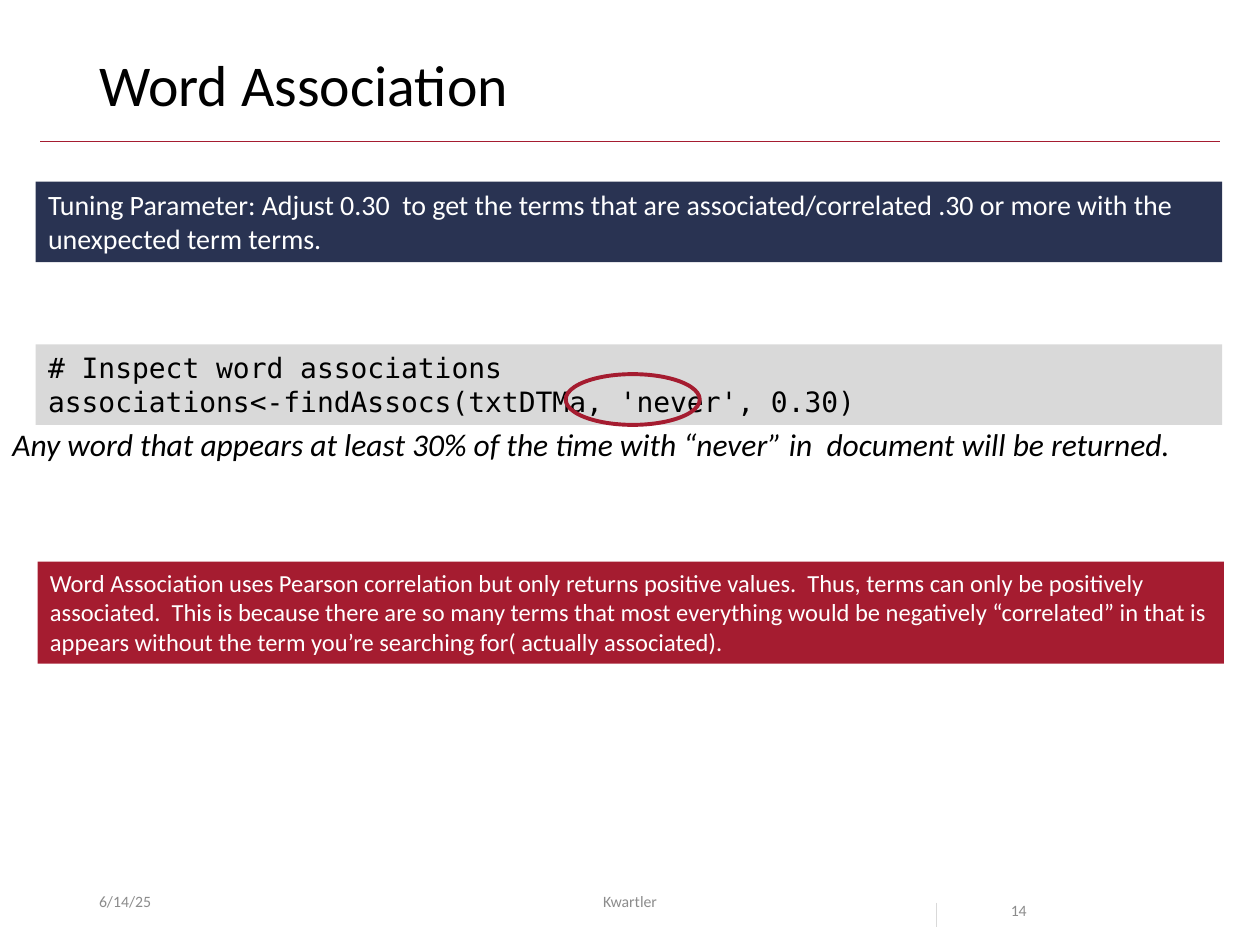
import dataclasses
import typing

import lxml.etree
import pptx
import pptx.dml.color
import pptx.enum.shapes
import pptx.enum.text
import pptx.oxml.ns
import pptx.util

Pt = pptx.util.Pt
Align = pptx.enum.text.PP_ALIGN
Anchor = pptx.enum.text.MSO_ANCHOR
Preset = pptx.enum.shapes.MSO_SHAPE

HUES = {
    "red": "A51C30",
    "navy": "293352",
    "pale": "D9D9D9",
    "grey": "8C8C8C",
    "black": "000000",
    "white": "FFFFFF",
}
SANS = "Calibri"
MONO = "DejaVu Sans Mono"


@dataclasses.dataclass
class Label:
    lines: list[str]
    left: float
    top: float
    width: float
    height: float
    size: float
    hue: str
    font: str = SANS
    fill: str | None = None
    align: Align = Align.LEFT
    anchor: Anchor = Anchor.TOP
    space: float | None = None
    slant: bool = False
    wrap: bool = True
    grow: bool = False


def shade(name: str) -> pptx.dml.color.RGBColor:
    return pptx.dml.color.RGBColor.from_string(HUES[name])


def write(shape: typing.Any, label: Label) -> None:
    frame = shape.text_frame
    frame.word_wrap = label.wrap
    fit = pptx.enum.text.MSO_AUTO_SIZE
    frame.auto_size = fit.SHAPE_TO_FIT_TEXT if label.grow else fit.NONE
    frame.vertical_anchor = label.anchor
    frame.text = "\n".join(label.lines)
    for line in frame.paragraphs:
        line.alignment = label.align
        if label.space:
            line.line_spacing = label.space
        line.font.name = label.font
        line.font.size = Pt(label.size)
        line.font.italic = label.slant
        line.font.color.rgb = shade(label.hue)


def place(shapes: typing.Any, label: Label) -> None:
    spot = [Pt(n) for n in (label.left, label.top, label.width, label.height)]
    if label.fill:
        shape = shapes.add_shape(Preset.RECTANGLE, *spot)
        shape.shadow.inherit = False
        shape.fill.solid()
        shape.fill.fore_color.rgb = shade(label.fill)
        shape.line.fill.background()
    else:
        shape = shapes.add_textbox(*spot)
    write(shape, label)


def rule(shapes: typing.Any, start: tuple[float, float],
         end: tuple[float, float], hue: str) -> None:
    line = shapes.add_connector(pptx.enum.shapes.MSO_CONNECTOR.STRAIGHT,
                                *[Pt(n) for n in start + end])
    line.line.color.rgb = shade(hue)
    line.line.width = Pt(0.5)
    props = line.element.find(pptx.oxml.ns.qn("p:spPr"))
    lxml.etree.SubElement(props, pptx.oxml.ns.qn("a:effectLst"))


def ring(shapes: typing.Any, left: float, top: float,
         width: float, height: float) -> None:
    shape = shapes.add_shape(Preset.OVAL, Pt(left), Pt(top),
                             Pt(width), Pt(height))
    shape.shadow.inherit = False
    shape.fill.background()
    shape.line.color.rgb = shade("red")
    shape.line.width = Pt(2.25)


TITLE = Label(["Word Association"], 49.5, 28.8, 621, 46.8, 33, "black",
              space=0.9)
FOOT = [
    Label(["6/14/25"], 49.5, 500.5, 162, 28.8, 9, "grey",
          anchor=Anchor.MIDDLE),
    Label(["Kwartler"], 238.5, 500.5, 243, 28.8, 9, "grey",
          align=Align.CENTER, anchor=Anchor.MIDDLE),
    Label(["14"], 570.5, 500.5, 67.5, 28.8, 9, "grey", space=2),
]
CAUSE = Label(
    ["Word Association uses Pearson correlation but only returns positive "
     "values.  Thus, terms can only be positively associated.  This is "
     "because there are so many terms that most everything would be "
     "negatively “correlated” in that is appears without the term you’re "
     "searching for( actually associated)."],
    21.5, 321, 678, 58.2, 14, "white", fill="red", grow=True)
CODE = Label(
    ["# Inspect word associations",
     "associations<-findAssocs(txtDTMa, 'never', 0.30)"],
    20.4, 196.8, 678, 46, 16, "black", font=MONO, fill="pale", grow=True)
TUNING = Label(
    ["Tuning Parameter: Adjust 0.30  to get the terms that are "
     "associated/correlated .30 or more with the unexpected term terms."],
    20.4, 103.8, 678, 46, 16, "white", fill="navy", grow=True)
RESULT = Label(
    ["Any word that appears at least 30% of the time with “never” in  "
     "document will be returned."],
    0, 239.2, 684, 29, 18, "black", slant=True, wrap=False, grow=True)


def main() -> None:
    deck = pptx.Presentation()
    deck.slide_width, deck.slide_height = Pt(720), Pt(540)
    slide = deck.slides.add_slide(deck.slide_layouts[5])
    shapes = slide.shapes

    rule(shapes, (23, 80.8), (697, 80.8), "red")
    title = shapes.title
    title.left, title.top = Pt(TITLE.left), Pt(TITLE.top)
    title.width, title.height = Pt(TITLE.width), Pt(TITLE.height)
    write(title, TITLE)

    for label in FOOT + [CAUSE]:
        place(shapes, label)
    group = shapes.add_group_shape()
    place(group.shapes, CODE)
    ring(group.shapes, 323.3, 213.8, 76.6, 29)
    for label in (TUNING, RESULT):
        place(shapes, label)
    rule(shapes, (535, 515.8), (535, 530), "pale")

    deck.save("out.pptx")


if __name__ == "__main__":
    main()
